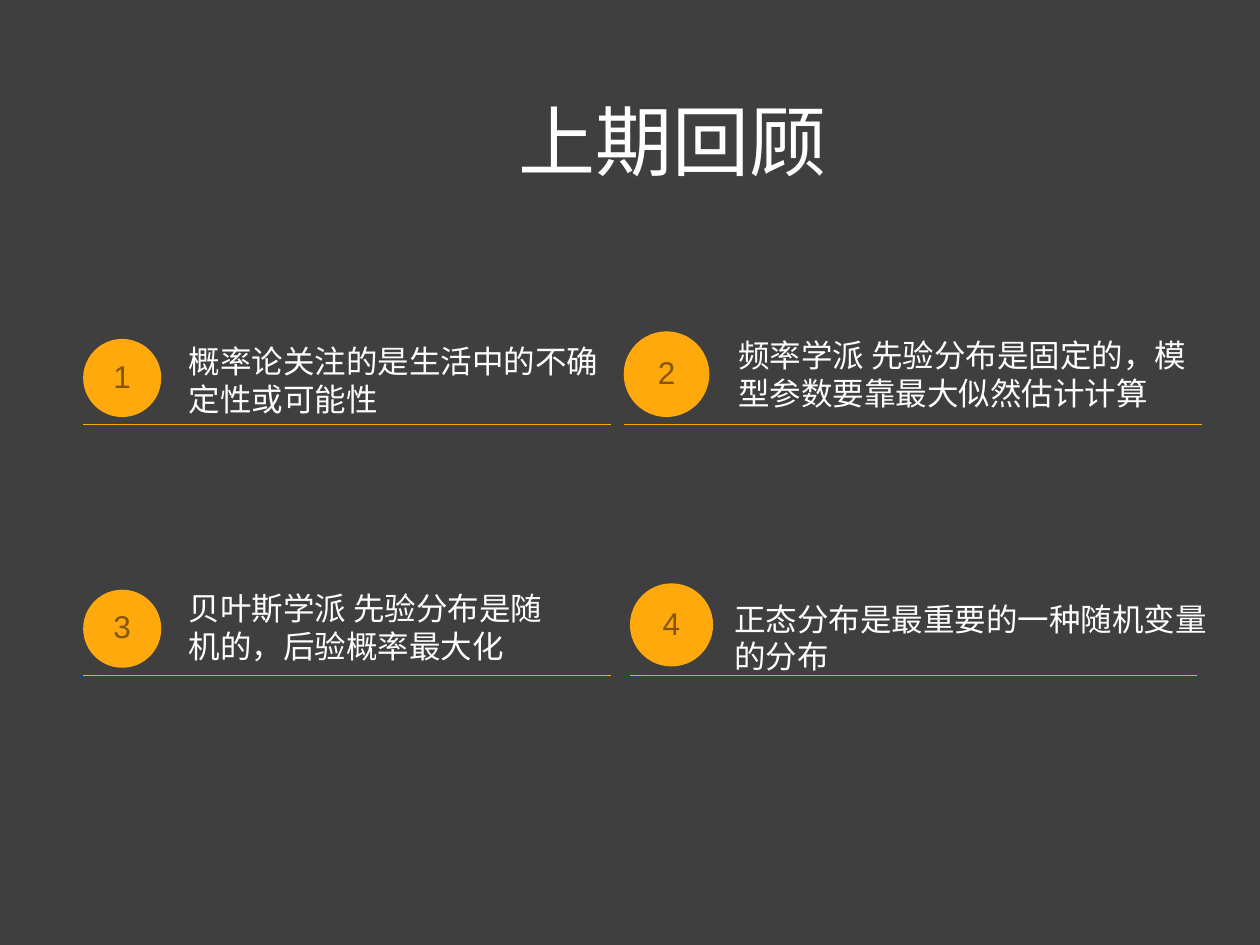
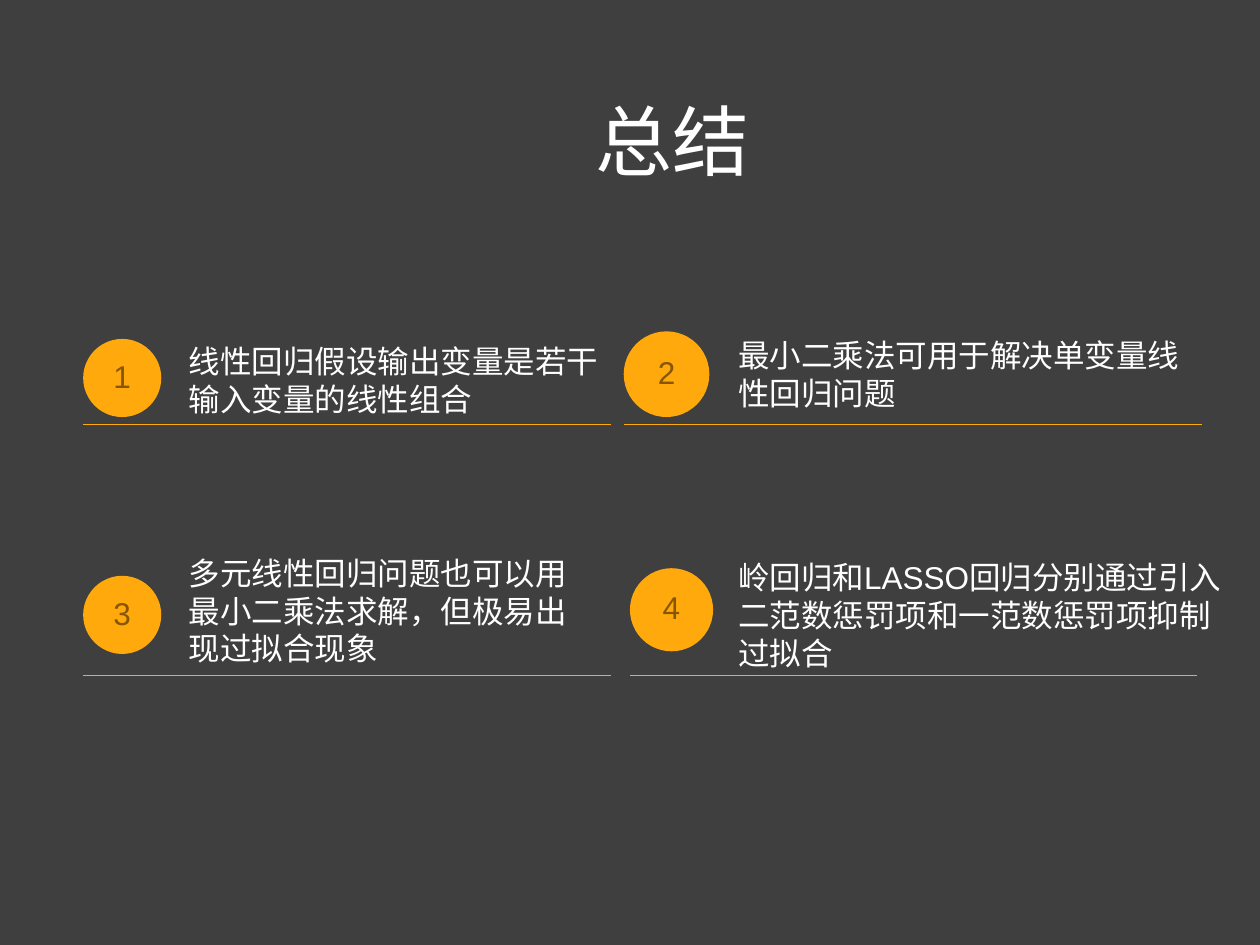
"""Build a review slide and a summary slide, each with four numbered points."""
from dataclasses import dataclass, replace

from lxml import etree
from pptx import Presentation
from pptx import util as u
from pptx.dml.color import RGBColor
from pptx.enum import shapes, text
from pptx.oxml.ns import qn
from pptx.shapes.autoshape import Shape
from pptx.shapes.group import GroupShape
from pptx.slide import Slide

EMU_PER_PX = 9144
FONT = "Arial"
TITLE_SIZE = 44
BODY_SIZE = 18
RULE_WIDTH = 0.5
COLORS = {
    "background": "3F3F3F",
    "text": "FFFFFF",
    "accent": "FFA90D",
    "number": "865600",
}


@dataclass(frozen=True)
class Box:
    """A rectangle in px."""

    left: int
    top: int
    width: int
    height: int

    def emu(self) -> tuple[int, ...]:
        """Return the four lengths in EMU."""
        return tuple(px(v) for v in (self.left, self.top, self.width, self.height))


@dataclass(frozen=True)
class PointSlot:
    """Places of a number badge, its text and the rule below them."""

    badge: Box
    body: Box
    rule_right: int
    rule_y: int

    def moved(self, badge_top: int, body_left: int, body_top: int) -> "PointSlot":
        """Return the slot with its badge and text at new places above the same rule."""
        return replace(
            self,
            badge=replace(self.badge, top=badge_top),
            body=replace(self.body, left=body_left, top=body_top),
        )


@dataclass(frozen=True)
class PointSlide:
    """A title with the points below it and their slots."""

    title: str
    points: tuple[str, ...]
    slots: tuple[PointSlot, ...]


TITLE_BOX = Box(392, 55, 283, 112)
UPPER_RULE, LOWER_RULE = 337, 536
UPPER_SLOTS = (
    PointSlot(Box(66, 269, 62, 62), Box(140, 265, 345, 73), 485, UPPER_RULE),
    PointSlot(Box(495, 263, 68, 68), Box(576, 257, 378, 80), 954, UPPER_RULE),
)
LOWER_SLOTS = (
    PointSlot(Box(66, 468, 62, 62), Box(140, 463, 325, 69), 485, LOWER_RULE),
    PointSlot(Box(500, 463, 66, 66), Box(573, 463, 404, 86), 950, LOWER_RULE),
)
RAISED_SLOTS = (
    LOWER_SLOTS[0].moved(badge_top=457, body_left=140, body_top=450),
    LOWER_SLOTS[1].moved(badge_top=451, body_left=576, body_top=445),
)
SLIDES = (
    PointSlide(
        "上期回顾",
        (
            "概率论关注的是生活中的不确定性或可能性",
            "频率学派 先验分布是固定的，模型参数要靠最大似然估计计算",
            "贝叶斯学派 先验分布是随机的，后验概率最大化",
            "正态分布是最重要的一种随机变量的分布",
        ),
        UPPER_SLOTS + LOWER_SLOTS,
    ),
    PointSlide(
        "总结",
        (
            "线性回归假设输出变量是若干输入变量的线性组合",
            "最小二乘法可用于解决单变量线性回归问题",
            "多元线性回归问题也可以用最小二乘法求解，但极易出现过拟合现象",
            "岭回归和LASSO回归分别通过引入二范数惩罚项和一范数惩罚项抑制过拟合",
        ),
        UPPER_SLOTS + RAISED_SLOTS,
    ),
)


def px(length: int) -> int:
    """Turn px into EMU."""
    return u.Emu(length * EMU_PER_PX)


def color(name: str) -> RGBColor:
    """Look up a named colour."""
    return RGBColor.from_string(COLORS[name])


def write(shape: Shape, words: str, size: int, color_name: str, align: text.PP_ALIGN,
          line_spacing: float = 1.0) -> None:
    """Write one vertically centred paragraph into a shape."""
    frame = shape.text_frame
    frame.word_wrap = True
    frame.vertical_anchor = text.MSO_ANCHOR.MIDDLE
    paragraph = frame.paragraphs[0]
    paragraph.text = words
    paragraph.alignment = align
    paragraph.line_spacing = line_spacing
    paragraph.font.name = FONT
    paragraph.font.size = u.Pt(size)
    paragraph.font.color.rgb = color(color_name)


def add_badge(group: GroupShape, box: Box, number: int) -> None:
    """Add a filled circle with a number."""
    badge = group.shapes.add_shape(shapes.MSO_SHAPE.OVAL, *box.emu())
    badge.shadow.inherit = False
    badge.fill.solid()
    badge.fill.fore_color.rgb = color("accent")
    badge.line.fill.background()
    write(badge, str(number), BODY_SIZE, "number", text.PP_ALIGN.CENTER, 0.9)


def add_rule(group: GroupShape, left: int, right: int, y: int) -> None:
    """Add a thin horizontal line."""
    rule = group.shapes.add_connector(
        shapes.MSO_CONNECTOR.STRAIGHT, px(left), px(y), px(right), px(y))
    rule.line.color.rgb = color("accent")
    rule.line.width = u.Pt(RULE_WIDTH)
    etree.SubElement(rule._element.spPr, qn("a:effectLst"))


def add_point(slide: Slide, slot: PointSlot, number: int, words: str) -> None:
    """Add a grouped badge, text and rule."""
    group = slide.shapes.add_group_shape()
    add_badge(group, slot.badge, number)
    body = group.shapes.add_textbox(*slot.body.emu())
    write(body, words, BODY_SIZE, "text", text.PP_ALIGN.LEFT)
    add_rule(group, slot.badge.left, slot.rule_right, slot.rule_y)


def add_point_slide(presentation: Presentation, content: PointSlide) -> None:
    """Add a slide with a title and numbered points."""
    slide = presentation.slides.add_slide(presentation.slide_layouts[6])
    slide.background.fill.solid()
    slide.background.fill.fore_color.rgb = color("background")
    title = slide.shapes.add_textbox(*TITLE_BOX.emu())
    write(title, content.title, TITLE_SIZE, "text", text.PP_ALIGN.CENTER)
    for number, (slot, words) in enumerate(zip(content.slots, content.points), start=1):
        add_point(slide, slot, number, words)


def main() -> None:
    """Build and save the presentation."""
    presentation = Presentation()
    presentation.slide_width, presentation.slide_height = px(1000), px(750)
    for content in SLIDES:
        add_point_slide(presentation, content)
    presentation.save("out.pptx")


if __name__ == "__main__":
    main()
